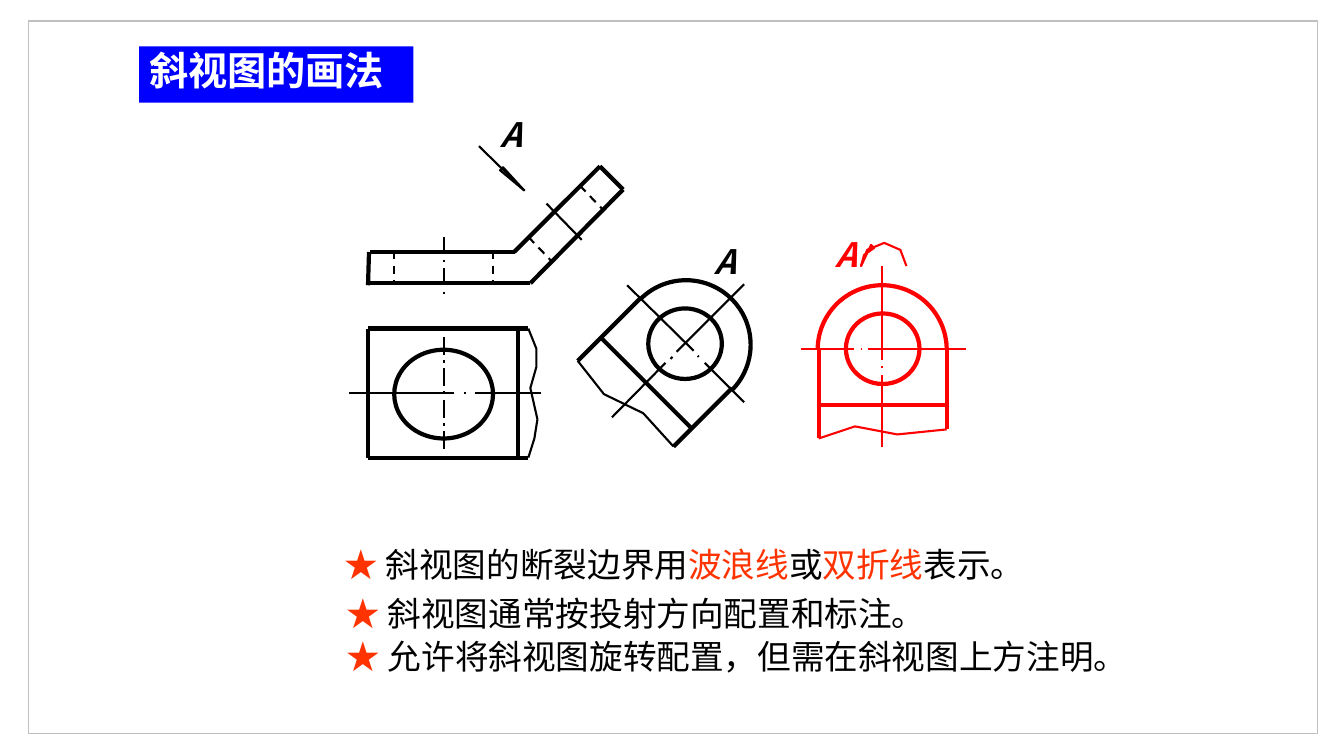
import math

from lxml import etree
from pptx import Presentation, util as u
from pptx.dml.color import RGBColor
from pptx.enum import dml, shapes, text
from pptx.oxml.ns import qn

PX = 9144  # 100 px to the inch
FONT = "Noto Sans CJK SC"
BLACK, RED, STAR = "000000", "FF0000", "FF3300"
THIN, THICK = 1.5, 3
DASH = dml.MSO_LINE.DASH
CHAIN = dml.MSO_LINE.LONG_DASH_DOT


def rgb(code):
    return RGBColor.from_string(code)


def emu(*vals):
    return [round(v * PX) for v in vals]


def stroke(shape, color, width, dash=None):
    shape.line.color.rgb = rgb(color)
    shape.line.width = u.Pt(width)
    if dash:
        shape.line.dash_style = dash


def line(slide, x1, y1, x2, y2, color=BLACK, width=THIN, dash=None):
    conn = slide.shapes.add_connector(
        shapes.MSO_CONNECTOR.STRAIGHT, *emu(x1, y1, x2, y2))
    stroke(conn, color, width, dash)
    etree.SubElement(conn._element.spPr, qn("a:effectLst"))


def path(slide, pts, color=BLACK, width=THIN, close=False):
    pts = [emu(*p) for p in pts]
    pen = slide.shapes.build_freeform(*pts[0])
    pen.add_line_segments(pts[1:], close=close)
    shape = pen.convert_to_shape()
    shape.shadow.inherit = False
    shape.fill.background()
    stroke(shape, color, width)


def arc(slide, cx, cy, rad, start, color):
    """Draw a clockwise half circle from the start angle in degrees."""
    turns = [math.radians(start + 3 * i) for i in range(61)]
    pts = [(cx + rad * math.cos(t), cy + rad * math.sin(t)) for t in turns]
    path(slide, pts, color, THICK)


def plain(slide, kind, box, color=None, width=THICK, fill=None):
    shape = slide.shapes.add_shape(kind, *emu(*box))
    shape.shadow.inherit = False
    if fill:
        shape.fill.solid()
        shape.fill.fore_color.rgb = rgb(fill)
    else:
        shape.fill.background()
    if color:
        stroke(shape, color, width)
    else:
        shape.line.fill.background()
    return shape


def oval(slide, box, color=BLACK):
    plain(slide, shapes.MSO_SHAPE.OVAL, box, color)


def write(para, words, size, color, bold=False, italic=False):
    run = para.add_run()
    run.text = words
    font = run.font
    font.size, font.bold, font.italic = u.Pt(size), bold, italic
    font.name = FONT
    font.color.rgb = rgb(color)
    east = etree.SubElement(run._r.get_or_add_rPr(), qn("a:ea"))
    east.set("typeface", FONT)


def label(slide, x, y, color=BLACK):
    frame = slide.shapes.add_textbox(*emu(x, y, 17, 40)).text_frame
    frame.margin_left = frame.margin_right = 0
    frame.margin_top = frame.margin_bottom = 0
    frame.word_wrap = False
    frame.auto_size = text.MSO_AUTO_SIZE.SHAPE_TO_FIT_TEXT
    para = frame.paragraphs[0]
    para.alignment = text.PP_ALIGN.CENTER
    write(para, "A", 24, color, True, True)


def note(slide, box, runs, wrap=False):
    frame = slide.shapes.add_textbox(*emu(*box)).text_frame
    frame.word_wrap = wrap
    frame.auto_size = text.MSO_AUTO_SIZE.SHAPE_TO_FIT_TEXT
    para = frame.paragraphs[0]
    for words, color in [("★ ", STAR)] + runs:
        write(para, words, 24, color)


def title(slide):
    box = plain(slide, shapes.MSO_SHAPE.RECTANGLE, (138, 46, 272, 56),
                fill="0000FF")
    frame = box.text_frame
    frame.word_wrap = True
    frame.vertical_anchor = text.MSO_ANCHOR.TOP
    para = frame.paragraphs[0]
    para.alignment = text.PP_ALIGN.LEFT
    para.line_spacing = 0.9
    props = para._p.get_or_add_pPr()
    props.set("marL", str(92 * PX))
    props.set("indent", str(-92 * PX))
    write(para, "斜视图的画法", 28, "FFFFFF", True)


def arrow(slide):
    label(slide, 496, 113)
    line(slide, 475, 145, 520, 189)
    path(slide, [(520, 189), (499, 166), (496, 169)], close=True)


def front(slide):
    """Bent plate seen from the front."""
    for ends in [(367, 250, 511, 250), (510, 250, 595, 165),
                 (595, 165, 618, 188), (526, 281, 618, 188),
                 (526, 281, 365, 281), (365, 283, 366, 250)]:
        line(slide, *ends, width=THICK)
    for ends in [(575, 184, 597, 207), (524, 235, 546, 258),
                 (391, 249, 391, 279), (489, 249, 489, 283)]:
        line(slide, *ends, dash=DASH)
    line(slide, 440, 235, 440, 295, dash=CHAIN)
    line(slide, 542, 202, 577, 238)


def top(slide):
    """Broken plate seen from above."""
    oval(slide, (391, 347, 98, 88))
    for y in (326, 454):
        line(slide, 365, y, 524, y, width=THICK)
    for x in (365, 514):
        line(slide, x, 326, x, 454, width=THICK)
    path(slide, [(524, 326), (532, 346), (532, 364), (526, 385),
                 (533, 416), (530, 435), (524, 454)])
    for y1, y2 in [(334, 435), (335, 446)]:
        line(slide, 440, y1, 440, y2, dash=CHAIN)
    for x1, x2 in [(346, 450), (460, 462), (471, 537)]:
        line(slide, x1, 390, x2, 390)


def slant(slide):
    """Oblique view, placed along the arrow."""
    label(slide, 709, 239)
    arc(slide, 680.5, 342, 64, 225.5, BLACK)
    oval(slide, (643, 306, 73, 70))
    for ends in [(668, 443, 726, 385), (573, 358, 635, 296),
                 (596, 335, 686, 425)]:
        line(slide, *ends, width=THICK)
    path(slide, [(573, 358), (599, 391), (638, 410), (668, 443)])
    for ends in [(738, 282, 671, 349), (667, 354, 665, 356),
                 (660, 360, 607, 414), (622, 283, 688, 348),
                 (692, 353, 693, 354), (699, 360, 738, 399)]:
        line(slide, *ends)


def turned(slide):
    """Oblique view, rotated upright, with its rotation sign."""
    label(slide, 829, 232, RED)
    path(slide, [(899, 264), (893, 248), (877, 241), (860, 248),
                 (854, 264)], RED)
    path(slide, [(854, 264), (864, 243), (867, 246), (857, 253)],
         RED, close=True)
    arc(slide, 875, 347, 64, 180, RED)
    path(slide, [(812, 435), (848, 423), (890, 431), (939, 426)], RED)
    for ends in [(812, 402, 939, 402), (812, 435, 812, 346),
                 (939, 426, 939, 346)]:
        line(slide, *ends, RED, THICK)
    for y1, y2 in [(264, 357), (363, 365), (372, 443)]:
        line(slide, 875, y1, 875, y2, RED)
    for x1, x2 in [(794, 847), (854, 855), (861, 958)]:
        line(slide, x1, 346, x2, 346, RED)
    oval(slide, (839, 311, 73, 70), RED)


def notes(slide):
    note(slide, (334, 583, 626, 50),
         [("斜视图通常按投射方向配置和标注。", BLACK)])
    note(slide, (332, 535, 707, 50),
         [("斜视图的断裂边界用", BLACK), ("波浪线", STAR), ("或", BLACK),
          ("双折线", STAR), ("表示。", BLACK)])
    note(slide, (334, 626, 838, 50),
         [("允许将斜视图旋转配置，但需在斜视图上方注明。", BLACK)], True)


def main():
    deck = Presentation()
    deck.slide_width, deck.slide_height = emu(1333, 750)
    slide = deck.slides.add_slide(deck.slide_layouts[6])
    plain(slide, shapes.MSO_SHAPE.RECTANGLE, (28, 21, 1279, 707),
          "BFBFBF", 1)
    for part in (title, arrow, slant, turned, front, top, notes):
        part(slide)
    deck.save("out.pptx")


if __name__ == "__main__":
    main()
